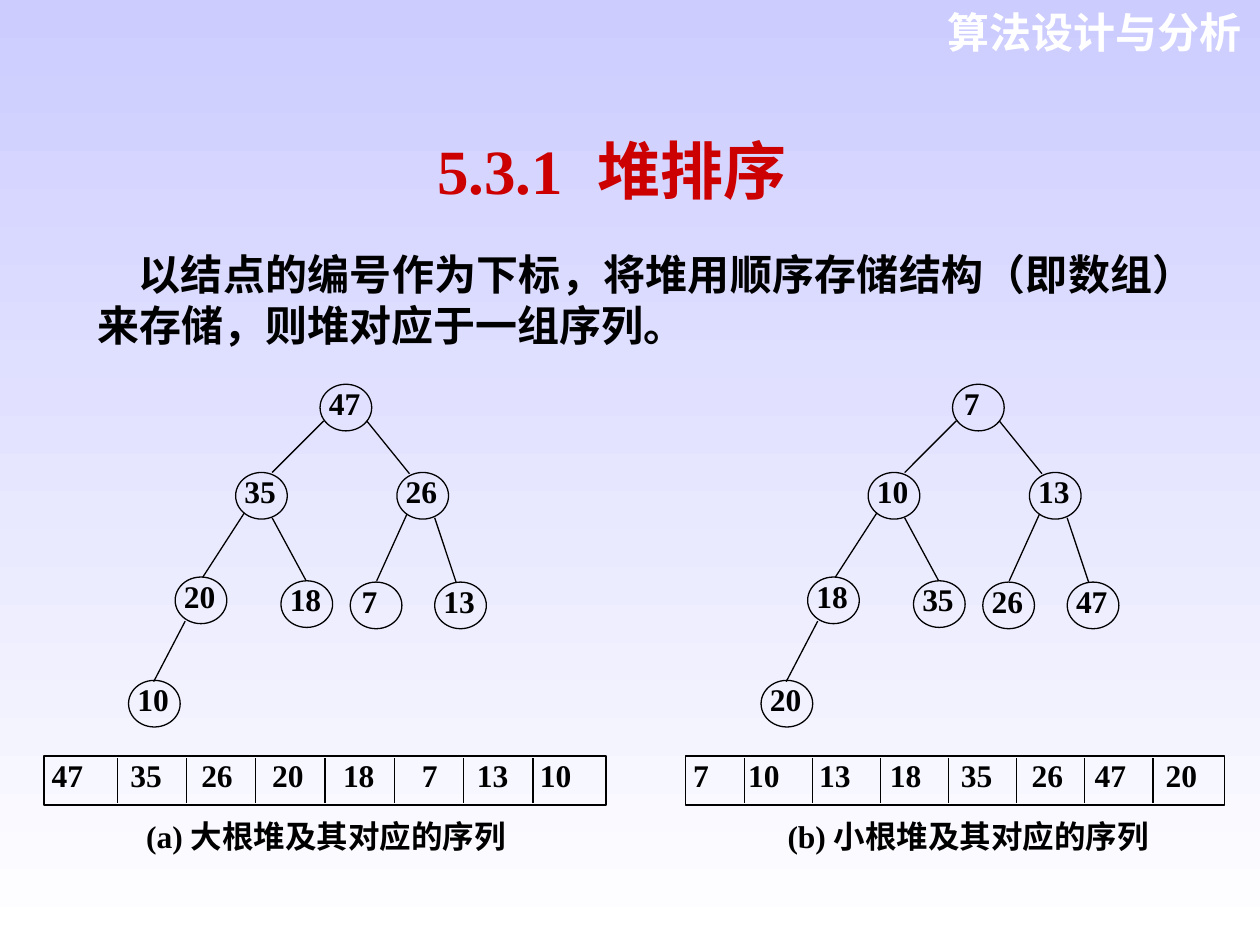
from lxml.etree import SubElement
from pptx import Presentation
from pptx.dml.color import RGBColor
from pptx.enum.shapes import MSO_CONNECTOR, MSO_SHAPE
from pptx.enum.text import MSO_ANCHOR, MSO_AUTO_SIZE, PP_ALIGN
from pptx.oxml.ns import qn
from pptx.util import Inches, Pt

COLORS = {"sky": "CCCCFF", "white": "FFFFFF", "title": "CC0000", "ink": "000000"}
CHINESE = "Noto Sans CJK SC"
SERIF = "Times New Roman"

presentation = Presentation()
presentation.slide_width, presentation.slide_height = Inches(10), Inches(7.5)
CELL = presentation.slide_width // 10  # grid of 10 columns by 7.5 rows
slide = presentation.slides.add_slide(presentation.slide_layouts[1])

background = slide.background.fill
background.gradient()
background.gradient_angle = 270
for stop, name in zip(background.gradient_stops, ("sky", "white")):
    stop.color.rgb = RGBColor.from_string(COLORS[name])


def write(shape, box, pieces, size, font, color, alignment, insets, spacing=None, gaps=()):
    """Place a shape on the grid with one bold paragraph.

    Pieces are parted by one space each, widened by the matching gap in points.
    """
    shape.left, shape.top, shape.width, shape.height = (int(n * CELL) for n in box)
    frame = shape.text_frame
    frame.word_wrap = True
    frame.auto_size = MSO_AUTO_SIZE.NONE
    frame.vertical_anchor = MSO_ANCHOR.TOP
    frame.margin_left, frame.margin_top, frame.margin_right, frame.margin_bottom = (
        int(n * CELL) for n in insets)
    paragraph = frame.paragraphs[0]
    paragraph.add_run().text = pieces[0]
    for gap, piece in zip(gaps, pieces[1:]):
        space = paragraph.add_run()
        space.text = " "
        space.font._element.set("spc", str(int(gap * 100)))
        paragraph.add_run().text = piece
    paragraph.alignment = alignment
    paragraph.space_before = Pt(0)
    paragraph.line_spacing = spacing
    properties = paragraph._p.get_or_add_pPr()
    properties.set("marL", "0")
    properties.set("indent", "0")
    SubElement(properties, qn("a:buNone"))
    paragraph.font.size = Pt(size)
    paragraph.font.bold = True
    paragraph.font.color.rgb = RGBColor.from_string(COLORS[color])
    paragraph.font.name = font
    SubElement(properties.find(qn("a:defRPr")), qn("a:ea"), typeface=CHINESE)
    return paragraph


def add_line(x1, y1, x2, y2):
    line = slide.shapes.add_connector(
        MSO_CONNECTOR.STRAIGHT, *(int(n * CELL) for n in (x1, y1, x2, y2)))
    line.line.color.rgb = RGBColor.from_string(COLORS["ink"])
    line.line.width = Pt(0.75)
    SubElement(line._element.spPr, qn("a:effectLst"))


# Header, title and body
TEXT_INSETS = (0.1, 0.05, 0.1, 0.05)
write(slide.shapes.add_textbox(0, 0, 0, 0), (7.24, 0, 2.71, 0.5), ["算法设计与分析"],
      24, "Arial", "white", PP_ALIGN.RIGHT, TEXT_INSETS, Pt(29))
write(slide.shapes.title, (1.52, 1, 6.67, 0.7), ["5.3.1", "堆排序"],
      36, SERIF, "title", PP_ALIGN.CENTER, TEXT_INSETS, Pt(43), [10.5])
body = write(slide.placeholders[1], (0.67, 1.92, 8.92, 0.9),
             ["以结点的编号作为下标，将堆用顺序存储结构（即数组）来存储，则堆对应于一组序列。"],
             24, CHINESE, "ink", PP_ALIGN.JUSTIFY, TEXT_INSETS, Pt(29))
body._p.pPr.set("indent", str(int(0.33 * CELL)))

# Both trees share these positions, listed in heap order
NODE_WIDTH, NODE_HEIGHT = 0.41, 0.37
NODES = [(2.54, 3.05), (1.87, 3.75), (3.15, 3.75), (1.39, 4.58),
         (2.23, 4.61), (2.78, 4.62), (3.45, 4.62), (1.02, 5.4)]
EDGES = [(2.57, 3.34, 2.16, 3.75), (2.91, 3.34, 3.25, 3.76), (1.94, 4.07, 1.61, 4.58),
         (2.16, 4.11, 2.43, 4.61), (3.23, 4.08, 2.99, 4.61), (3.45, 4.11, 3.62, 4.62),
         (1.47, 4.93, 1.22, 5.41)]

HEAPS = [
    {"values": [47, 35, 26, 20, 18, 7, 13, 10], "shift": 0,
     "array": (0.35, 6, 4.46, 0.39), "divider": 0.93, "pitch": 0.55,
     "gaps": (22.5, 18, 18, 18, 22.5, 18, 13.5),
     "caption": "(a) 大根堆及其对应的序列", "caption_box": (1.14, 6.47, 3.34, 0.43)},
    {"values": [7, 10, 13, 18, 35, 26, 47, 20], "shift": 5.02,
     "array": (5.44, 6, 4.28, 0.39), "divider": 5.91, "pitch": 0.54,
     "gaps": (18, 18, 18, 18, 18, 13.5, 18),
     "caption": "(b) 小根堆及其对应的序列", "caption_box": (6.23, 6.47, 3.05, 0.37)},
]

for heap in HEAPS:
    shift = heap["shift"]
    values = [str(value) for value in heap["values"]]
    outlines = [(MSO_SHAPE.RECTANGLE, heap["array"], values,
                 (0.06, 0, 0.06, 0), None, heap["gaps"])]
    for value, (left, top) in zip(values, NODES):
        inset = 0.03 if len(value) == 1 else 0.01
        outlines.append((MSO_SHAPE.OVAL, (left + shift, top, NODE_WIDTH, NODE_HEIGHT),
                         [value], (inset, 0, 0, 0), 0.8, ()))
    for kind, box, pieces, insets, spacing, gaps in outlines:
        shape = slide.shapes.add_shape(kind, 0, 0, 0, 0)
        shape.shadow.inherit = False
        shape.fill.background()
        shape.line.color.rgb = RGBColor.from_string(COLORS["ink"])
        shape.line.width = Pt(0.75)
        write(shape, box, pieces, 18, SERIF, "ink", PP_ALIGN.JUSTIFY, insets, spacing, gaps)

    for x1, y1, x2, y2 in EDGES:
        add_line(x1 + shift, y1, x2 + shift, y2)
    for index in range(len(values) - 1):
        x = heap["divider"] + index * heap["pitch"]
        add_line(x, 6.02, x, 6.37)

    write(slide.shapes.add_textbox(0, 0, 0, 0), heap["caption_box"], [heap["caption"]],
          18, SERIF, "ink", PP_ALIGN.JUSTIFY, (0.02, 0.01, 0.02, 0.01), Pt(22))

presentation.save("out.pptx")
